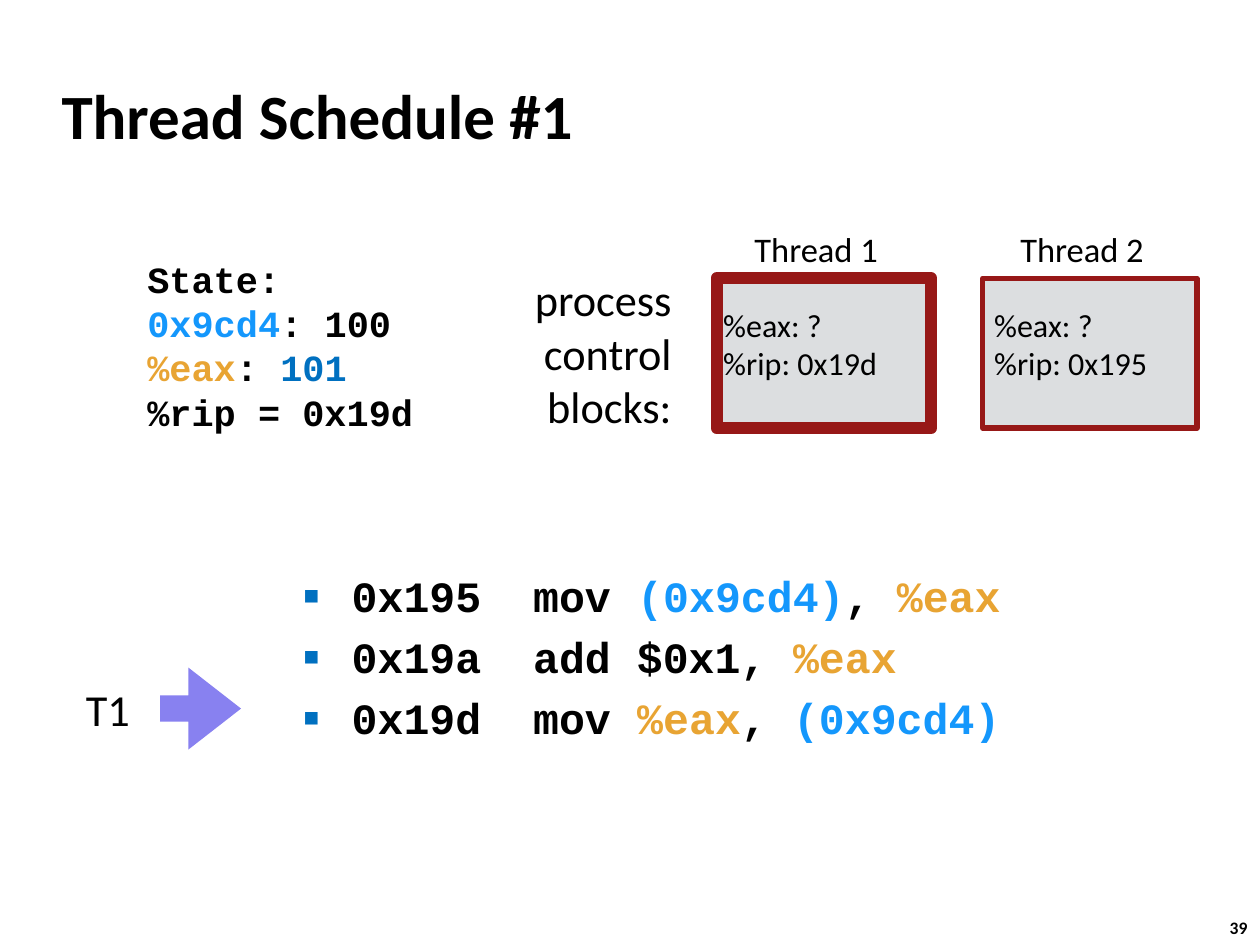
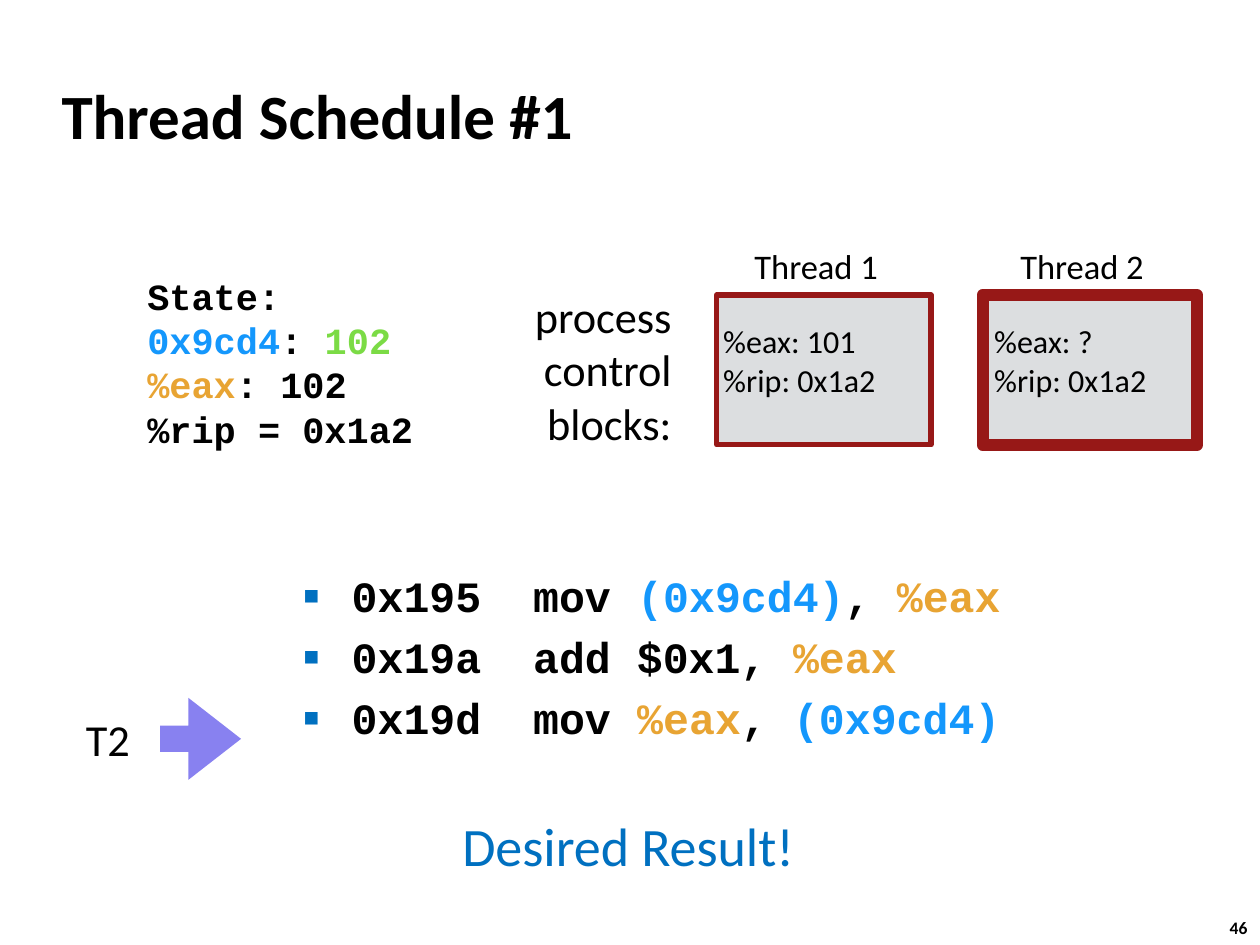
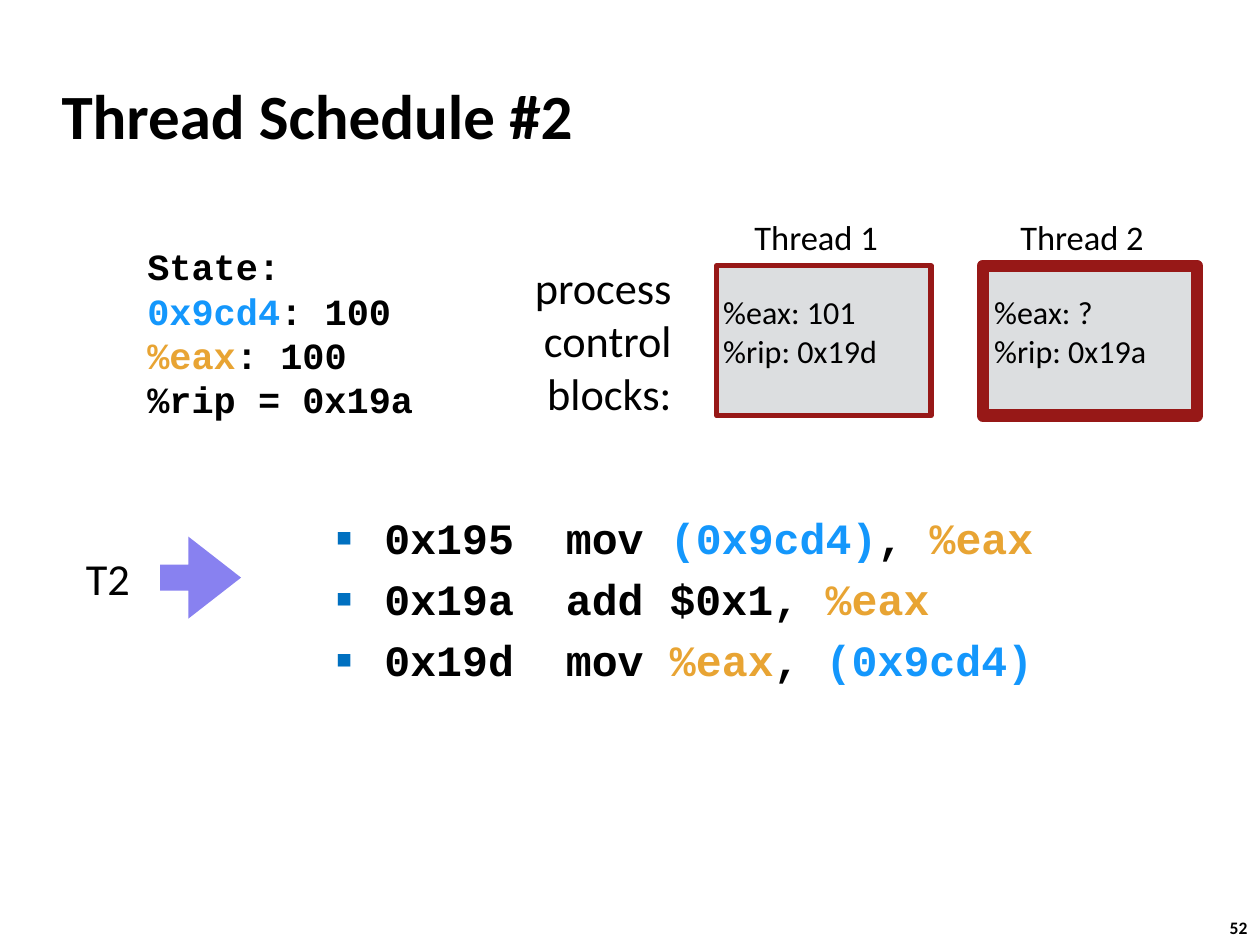
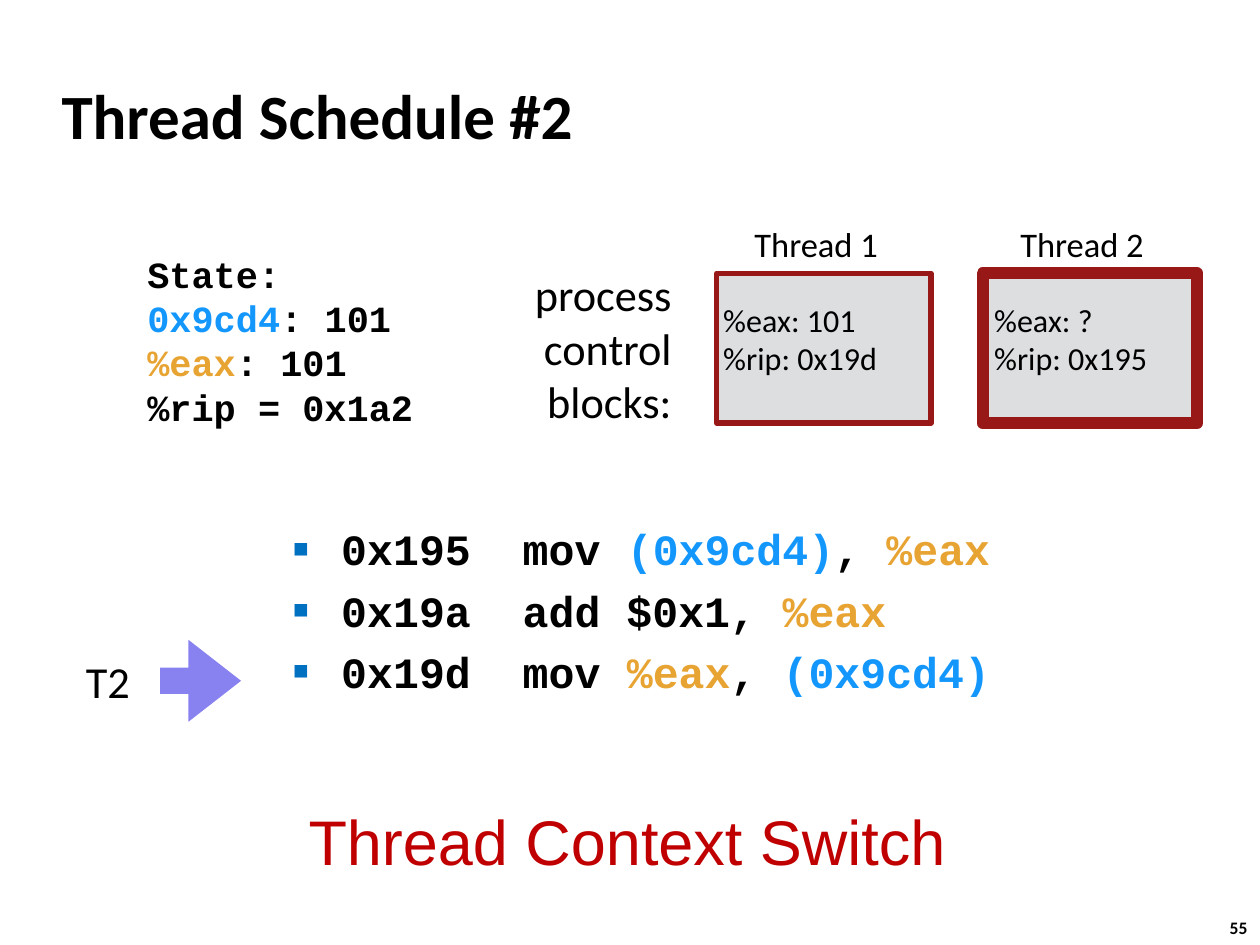
from lxml import etree
from pptx import Presentation, util as u
from pptx.dml.color import RGBColor
from pptx.enum import shapes, text
from pptx.oxml.ns import qn

COLOURS = {
    "black": "000000",
    "address": "1497FC",
    "register": "E8A433",
    "blue": "0070C0",
    "green": "7BDB45",
    "red": "C00000",
    "frame": "971817",
    "block": "DCDEE0",
    "arrow": "8881F0",
}
BODY_FONT, CODE_FONT = "Calibri", "Courier New"
LINE_HEIGHT = 1.2
SMALL_INSET = 0.1
CODE_INDENT = 0.97
BLOCK_LEFT, BLOCK_PITCH = 14.45, 5.36
VALUES_LEFT, VALUES_PITCH = 14.58, 5.46

ADDRESS = ("0x9cd4", "address")
ADDRESS_OPERAND = ("(0x9cd4)", "address")
REGISTER = ("%eax", "register")
CODE_LINES = [
    ["0x195  mov ", ADDRESS_OPERAND, ", ", REGISTER],
    ["0x19a  add $0x1, ", REGISTER],
    ["0x19d  mov ", REGISTER, ", ", ADDRESS_OPERAND],
]

# memory, eax and rip hold the running state; blocks hold (eax, rip) per thread
SLIDES = [
    dict(title="Thread Schedule #1", number=39, block_top=5.61, active=1,
         memory="100", eax=("101", "blue"), rip="0x19d",
         blocks=[("?", "0x19d"), ("?", "0x195")],
         arrow_top=13.46, code_at=(5.87, 11.23)),
    dict(title="Thread Schedule #1", number=46, block_top=5.95, active=2,
         memory=("102", "green"), eax="102", rip="0x1a2",
         blocks=[("101", "0x1a2"), ("?", "0x1a2")],
         arrow_top=14.07, code_at=(5.87, 11.23),
         caption=dict(lines=["Desired Result!"], at=(9.22, 16.28, 6.91, 1.52),
                      size=30.9, colour="blue")),
    dict(title="Thread Schedule #2", number=52, block_top=5.36, active=2,
         memory="100", eax="100", rip="0x19a",
         blocks=[("101", "0x19d"), ("?", "0x19a")],
         arrow_top=10.82, code_at=(6.53, 10.06)),
    dict(title="Thread Schedule #2", number=55, block_top=5.51, active=2,
         memory="101", eax="101", rip="0x1a2",
         blocks=[("101", "0x19d"), ("?", "0x195")],
         arrow_top=12.9, code_at=(5.66, 10.29),
         caption=dict(lines=["Thread Context Switch"], at=(6.12, 16.08, 13.16, 1.73),
                      size=36, colour="red", font=BODY_FONT.replace("Calibri", "Arial"))),
]


def write_text(slide, lines, at, size, shape=None, font=BODY_FONT, colour="black",
               bold=False, align="LEFT", anchor="MIDDLE", insets=(SMALL_INSET,) * 4,
               wrap=False, bullets=False):
    """Fill shape, or a new text box, with lines; a line is a string or a list of
    runs, and a run is a string or a (string, colour) pair."""
    left, top, width, height = map(u.Cm, at)
    if shape is None:
        shape = slide.shapes.add_textbox(left, top, width, height)
    else:
        shape.left, shape.top, shape.width, shape.height = left, top, width, height
    frame = shape.text_frame
    frame.word_wrap = wrap
    frame.auto_size = (text.MSO_AUTO_SIZE.NONE if wrap
                       else text.MSO_AUTO_SIZE.SHAPE_TO_FIT_TEXT)
    frame.vertical_anchor = text.MSO_ANCHOR[anchor]
    (frame.margin_left, frame.margin_top,
     frame.margin_right, frame.margin_bottom) = map(u.Cm, insets)
    for index, line in enumerate(lines):
        paragraph = frame.add_paragraph() if index else frame.paragraphs[0]
        paragraph.alignment = text.PP_ALIGN[align]
        paragraph.line_spacing = u.Pt(round(size * LINE_HEIGHT, 1))
        if bullets:
            paragraph.space_before = u.Pt(5.3 if index else 0)
            properties = paragraph._p.get_or_add_pPr()
            properties.set("marL", str(u.Cm(CODE_INDENT)))
            properties.set("indent", str(-u.Cm(CODE_INDENT)))
            bullet_colour = etree.SubElement(properties, qn("a:buClr"))
            etree.SubElement(bullet_colour, qn("a:srgbClr"), val=COLOURS["blue"])
            etree.SubElement(properties, qn("a:buSzPct"), val="60000")
            etree.SubElement(properties, qn("a:buFont"), typeface="Arial")
            etree.SubElement(properties, qn("a:buChar"), char="■")
        for part in [line] if isinstance(line, str) else line:
            words, run_colour = (part, colour) if isinstance(part, str) else part
            run = paragraph.add_run()
            run.text = words
            run.font.name = font
            run.font.size = u.Pt(size)
            run.font.bold = bold
            run.font.color.rgb = RGBColor.from_string(COLOURS[run_colour])


def add_filled_shape(slide, kind, at, fill, line_width=0):
    shape = slide.shapes.add_shape(kind, *map(u.Cm, at))
    shape.shadow.inherit = False
    shape.fill.solid()
    shape.fill.fore_color.rgb = RGBColor.from_string(COLOURS[fill])
    if line_width:
        shape.line.color.rgb = RGBColor.from_string(COLOURS["frame"])
        shape.line.width = u.Pt(line_width)
    else:
        shape.line.fill.background()
    return shape


presentation = Presentation()
presentation.slide_width, presentation.slide_height = u.Cm(25.4), u.Cm(19.05)
title_only = presentation.slide_layouts[5]

for content in SLIDES:
    slide = presentation.slides.add_slide(title_only)
    block_top, active = content["block_top"], content["active"]
    write_text(slide, [content["title"]], (0.99, 1.24, 21.08, 2.11), 36,
               shape=slide.shapes.title, bold=True, wrap=True,
               insets=(0.25, 0.13, 0.25, 0.13))
    write_text(slide, [str(content["number"])], (24.54, 18.36, 0.94, 0.69), 10,
               bold=True, anchor="TOP", insets=(0.25, 0.13, 0.25, 0.13))

    for index, (eax, rip) in enumerate(content["blocks"]):
        block_left = BLOCK_LEFT + index * BLOCK_PITCH
        add_filled_shape(slide, shapes.MSO_SHAPE.RECTANGLE,
                         (block_left, block_top, 4.32, 3.02), "block",
                         line_width=7 if index + 1 == active else 3)
        write_text(slide, [f"Thread {index + 1}"],
                   (block_left + 0.66, block_top - 1.11, 2.72, 1.04), 19.7)
        write_text(slide, [f"%eax: {eax}", f"%rip: {rip}"],
                   (VALUES_LEFT + index * VALUES_PITCH, block_top + 0.54, 3.12, 1.57),
                   18.3, anchor="TOP", insets=(0, 0, 0, 0))

    write_text(slide, ["State:", [ADDRESS, ": ", content["memory"]],
                       [REGISTER, ": ", content["eax"]], f"%rip = {content['rip']}"],
               (2.87, block_top - 0.56, 5.64, 3.81), 21.1, font=CODE_FONT, bold=True)
    write_text(slide, ["process", "control", "blocks:"],
               (10.62, block_top - 0.23, 3.02, 3.45), 25.3, align="RIGHT")

    arrow_top = content["arrow_top"]
    write_text(slide, [f"T{active}"], (1.63, arrow_top + 0.19, 1.09, 1.27), 25.3)
    arrow = add_filled_shape(slide, shapes.MSO_SHAPE.RIGHT_ARROW,
                             (3.23, arrow_top, 1.63, 1.65), "arrow")
    arrow.adjustments[0], arrow.adjustments[1] = 0.32, 0.65

    write_text(slide, CODE_LINES, (*content["code_at"], 15.34, 3.84), 24.7,
               font=CODE_FONT, bold=True, anchor="TOP", wrap=True, bullets=True,
               insets=(0.25, 0.25, 0.25, 0.13))
    if "caption" in content:
        write_text(slide, **content["caption"])

presentation.save("out.pptx")
